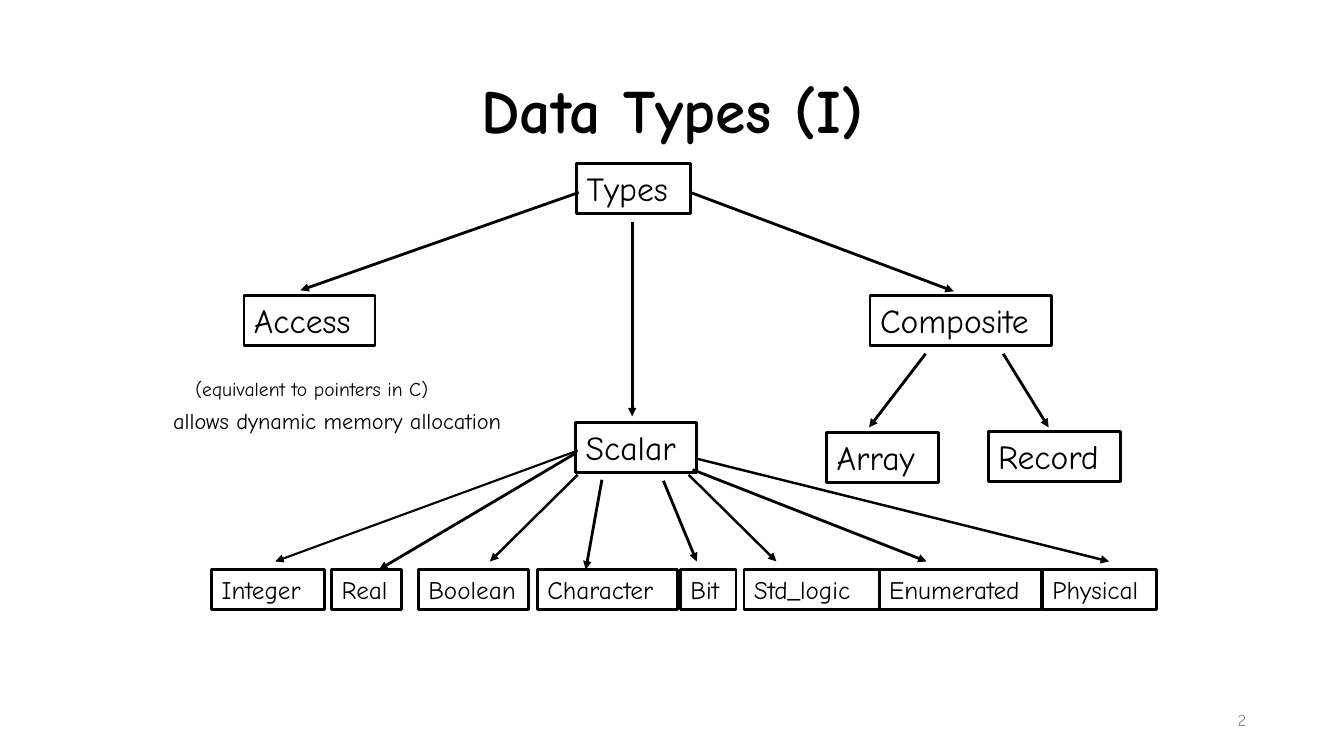
"""Build a slide that shows the tree of data types."""
from pptx import Presentation
from pptx.dml.color import RGBColor
from pptx.enum.shapes import MSO_CONNECTOR as Connector, MSO_SHAPE as Shape
from pptx.enum.text import MSO_ANCHOR as Anchor, PP_ALIGN as Align
from pptx.oxml.ns import qn
from pptx.util import Inches, Pt
from lxml.etree import SubElement

BLACK = RGBColor(0, 0, 0)
GREY = RGBColor(0x8C, 0x8C, 0x8C)
COLUMNS, ROWS = 133.3, 75


class TreeSlide:
    font_name = "Comic Neue"
    border = 2

    def __init__(self, deck):
        self.slide = deck.slides.add_slide(deck.slide_layouts[6])
        self.column = deck.slide_width / COLUMNS
        self.row = deck.slide_height / ROWS

    def place(self, left, top, width=0, height=0):
        return [round(length * unit) for length, unit in
                zip((left, top, width, height), (self.column, self.row) * 2)]

    def set_words(self, shape, words, size, color=BLACK, bold=False,
                  align=Align.LEFT, anchor=Anchor.TOP, spacing=1.0):
        frame = shape.text_frame
        frame.word_wrap = True
        frame.vertical_anchor = anchor
        frame.text = words
        paragraph = frame.paragraphs[0]
        paragraph.alignment = align
        paragraph.line_spacing = spacing
        font = paragraph.font
        font.name, font.size, font.bold = self.font_name, Pt(size), bold
        font.color.rgb = color

    def label(self, words, area, size, **style):
        box = self.slide.shapes.add_textbox(*self.place(*area))
        self.set_words(box, words, size, **style)

    def node(self, words, area, size):
        box = self.slide.shapes.add_shape(Shape.RECTANGLE, *self.place(*area))
        box.shadow.inherit = False
        box.fill.background()
        box.line.color.rgb = BLACK
        box.line.width = Pt(self.border)
        self.set_words(box, words, size)

    def arrow(self, start, end, weight=border):
        link = self.slide.shapes.add_connector(
            Connector.STRAIGHT, *self.place(*start, *end))
        link.line.color.rgb = BLACK
        link.line.width = Pt(weight)
        properties = link._element.spPr
        SubElement(properties.find(qn("a:ln")), qn("a:tailEnd"), type="triangle")
        SubElement(properties, qn("a:effectLst"))


deck = Presentation()
deck.slide_width, deck.slide_height = Inches(13.33), Inches(7.5)
tree = TreeSlide(deck)

tree.label("Data Types (I)", (9.2, 4, 115, 14.5), 44, bold=True,
           align=Align.CENTER, anchor=Anchor.MIDDLE, spacing=0.9)

BRANCH_HEIGHT = 5
branches = [
    ("Types", 57.2, 16.2, 11.3),
    ("Access", 24.2, 29.3, 13),
    ("Composite", 86.3, 29.3, 18),
    ("Array", 82, 42.9, 11.1),
    ("Record", 98, 42.8, 13.1),
    ("Scalar", 57.1, 41.9, 12),
]
for kind, left, top, width in branches:
    tree.node(kind, (left, top, width, BRANCH_HEIGHT), 24)

LEAF_TOP, LEAF_HEIGHT = 56.5, 4
scalar_kinds = [
    ("Integer", 21, 11.2),
    ("Real", 32.9, 6.9),
    ("Boolean", 41.5, 10.9),
    ("Character", 53.3, 13.9),
    ("Bit", 67.5, 5.5),
    ("Std_logic", 73.8, 13.4),
    ("Enumerated", 87.2, 16.1),
    ("Physical", 103.4, 11.3),
]
for kind, left, width in scalar_kinds:
    tree.node(kind, (left, LEAF_TOP, width, LEAF_HEIGHT), 18)

branch_links = [
    ((57.4, 19.1), (29.8, 28.8)),
    ((62.7, 22), (62.7, 41.3)),
    ((68.5, 19.1), (94.6, 28.9)),
    ((91.8, 35.1), (86.2, 42.4)),
    ((99.5, 35.1), (104, 42.4)),
]
ABOVE_LEAF = 55.7
scalar_links = [
    ((57.3, 44.7), (27.3, ABOVE_LEAF), 1.5),
    ((57.2, 44.9), (37.6, LEAF_TOP)),
    ((57.3, 47.1), (48.6, ABOVE_LEAF), 1.75),
    ((59.7, 47.6), (58.1, LEAF_TOP)),
    ((65.8, 47.7), (69.1, ABOVE_LEAF)),
    ((68.3, 47.1), (77, ABOVE_LEAF), 1.75),
    ((68.7, 46.6), (91.9, ABOVE_LEAF)),
    ((69.1, 45.5), (110, ABOVE_LEAF), 1.75),
]
for link in branch_links + scalar_links:
    tree.arrow(*link)

tree.label("(equivalent to pointers in C)", (18.4, 36.9, 27.2, 3.4), 14)
tree.label("allows dynamic memory allocation", (16.2, 39.9, 36.6, 3.7), 16)
tree.label("2", (94.6, 69.4, 30, 4), 12, color=GREY,
           align=Align.RIGHT, anchor=Anchor.MIDDLE)

deck.save("out.pptx")
